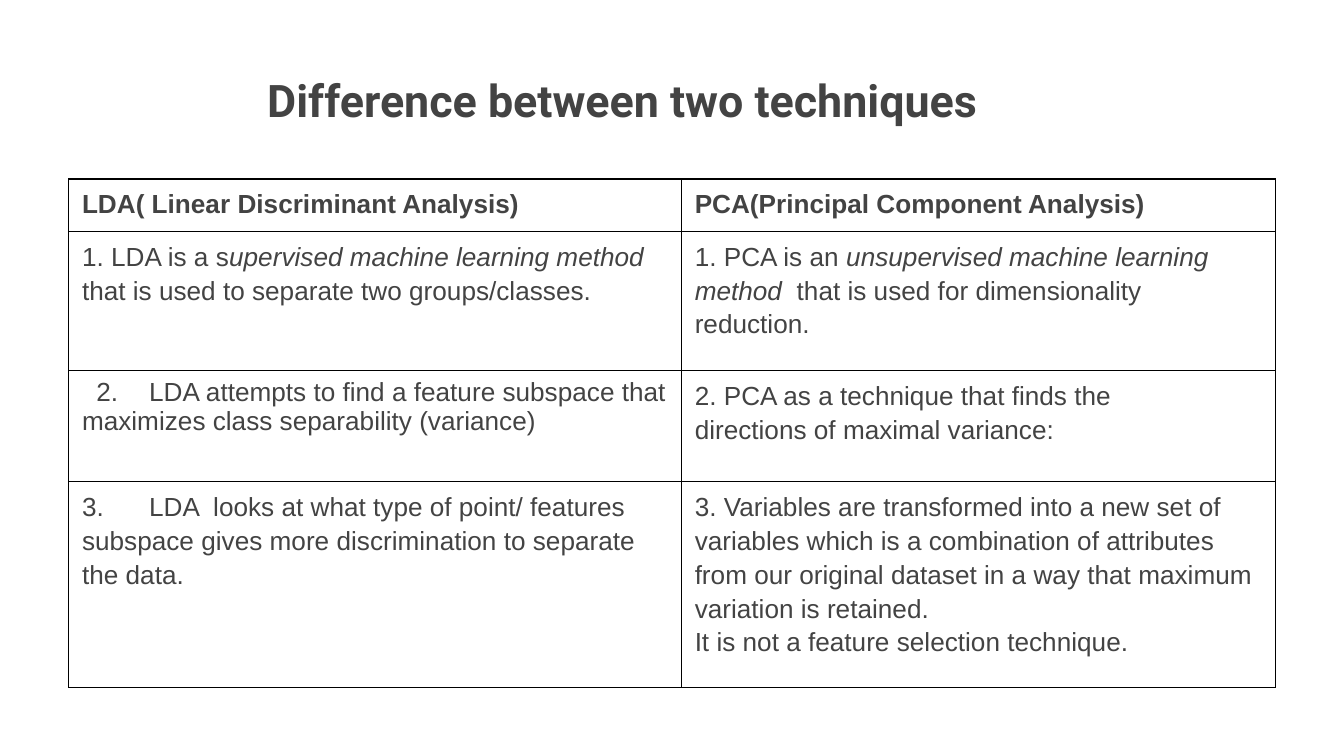
from lxml.etree import SubElement
from pptx import Presentation
from pptx.dml.color import RGBColor
from pptx.enum.text import MSO_ANCHOR, MSO_AUTO_SIZE, PP_ALIGN
from pptx.oxml.ns import qn
from pptx.util import Cm, Pt

TEXT_COLOR = RGBColor(0x43, 0x43, 0x43)
BORDER_COLOR = RGBColor(0x00, 0x00, 0x00)
TITLE_FONT = {"name": "Roboto", "size": Pt(24), "bold": True}
HEADER_FONT = {"name": "Arial", "size": Pt(14), "bold": True}
BODY_FONT = {**HEADER_FONT, "bold": False}
LOOSE = {"line_spacing": 1.15}

COLUMN_WIDTHS = [11.58, 11.22]
ROW_HEIGHTS = [0.99, 2.63, 2.1, 3.88]

# Each cell is a list of paragraphs: (pieces, paragraph format, indent, tab stop).
# A piece is plain text, or (text, True) for italic; "\n" is a line break.


def para(*pieces, layout=LOOSE, indent=0, tab=None):
    return pieces, layout, indent, tab


COMPARISON = [
    [
        [para("LDA( Linear Discriminant Analysis)")],
        [para("PCA(Principal Component Analysis)")],
    ],
    [
        [para("1. LDA is a s", ("upervised machine learning method ", True),
              "that is used to separate two groups/classes.")],
        [para("1. PCA is an ", ("unsupervised machine learning method  ", True),
              "that is used for dimensionality reduction.")],
    ],
    [
        [para("2.\tLDA attempts to find a feature subspace that maximizes "
              "class separability (variance)",
              layout={"line_spacing": 1.0}, indent=0.27, tab=0.96)],
        [para("2. PCA as a technique that finds the", "\n",
              "directions of maximal variance:")],
    ],
    [
        [para("3.\tLDA  looks at what type of point/ features subspace gives "
              "more discrimination to separate the data.", tab=0.82)],
        [para("3. Variables are transformed into a new set of variables which "
              "is a combination of attributes from our original dataset in a "
              "way that maximum variation is retained."),
         para("It is not a feature selection technique.")],
    ],
]


def apply(target, values):
    for attribute, value in values.items():
        setattr(target, attribute, value)


class ComparisonSlide:
    def __init__(self, presentation):
        self.slide = presentation.slides.add_slide(presentation.slide_layouts[5])

    def style_run(self, run, font, italic=False):
        apply(run.font, {**font, "italic": italic})
        run.font.color.rgb = TEXT_COLOR

    def title(self, text, left, top, width, height):
        heading = self.slide.shapes.title
        apply(heading, {"left": Cm(left), "top": Cm(top),
                        "width": Cm(width), "height": Cm(height)})
        frame = heading.text_frame
        inset = Cm(0.25)
        apply(frame, {"text": text, "word_wrap": True,
                      "auto_size": MSO_AUTO_SIZE.NONE,
                      "vertical_anchor": MSO_ANCHOR.TOP,
                      "margin_left": inset, "margin_right": inset,
                      "margin_top": inset, "margin_bottom": inset})
        frame.paragraphs[0].alignment = PP_ALIGN.LEFT
        self.style_run(frame.paragraphs[0].runs[0], TITLE_FONT)

    def table(self, rows, left, top):
        grid = self.slide.shapes.add_table(
            len(rows), len(COLUMN_WIDTHS), Cm(left), Cm(top),
            Cm(sum(COLUMN_WIDTHS)), Cm(sum(ROW_HEIGHTS))).table
        apply(grid, {"first_row": False, "horz_banding": False})
        for column, width in zip(grid.columns, COLUMN_WIDTHS):
            column.width = Cm(width)
        for row, height in zip(grid.rows, ROW_HEIGHTS):
            row.height = Cm(height)
        for r, row in enumerate(rows):
            for c, paragraphs in enumerate(row):
                self.cell(grid.cell(r, c), paragraphs,
                          BODY_FONT if r else HEADER_FONT)

    def cell(self, cell, paragraphs, font):
        apply(cell, {"margin_left": Cm(0.25), "margin_right": Cm(0.25),
                     "margin_top": Cm(0.13), "margin_bottom": Cm(0.13),
                     "vertical_anchor": MSO_ANCHOR.TOP})
        self.borders(cell)
        cell.fill.background()
        frame = cell.text_frame
        for index, content in enumerate(paragraphs):
            paragraph = frame.add_paragraph() if index else frame.paragraphs[0]
            self.paragraph(paragraph, content, font)

    def paragraph(self, paragraph, content, font):
        pieces, layout, indent, tab = content
        apply(paragraph, layout)
        properties = paragraph._p.get_or_add_pPr()
        properties.set("marL", "0")
        properties.set("indent", str(Cm(indent)))
        if tab:
            tabs = SubElement(properties, qn("a:tabLst"))
            SubElement(tabs, qn("a:tab"), pos=str(Cm(tab)), algn="l")
        for piece in pieces:
            if piece == "\n":
                paragraph.add_line_break()
                continue
            text, italic = (piece, False) if isinstance(piece, str) else piece
            run = paragraph.add_run()
            run.text = text
            self.style_run(run, font, italic)

    def borders(self, cell):
        properties = cell._tc.get_or_add_tcPr()
        for side in ("lnL", "lnR", "lnT", "lnB"):
            line = SubElement(properties, qn(f"a:{side}"), w=str(Pt(0.75)))
            fill = SubElement(line, qn("a:solidFill"))
            SubElement(fill, qn("a:srgbClr"), val=str(BORDER_COLOR))


def main():
    presentation = Presentation()
    apply(presentation, {"slide_width": Cm(25.4), "slide_height": Cm(14.28)})
    slide = ComparisonSlide(presentation)
    slide.table(COMPARISON, 1.3, 3.38)
    slide.title("Difference between two techniques", 4.8, 1.12, 17.53, 2.03)
    presentation.save("out.pptx")


if __name__ == "__main__":
    main()
